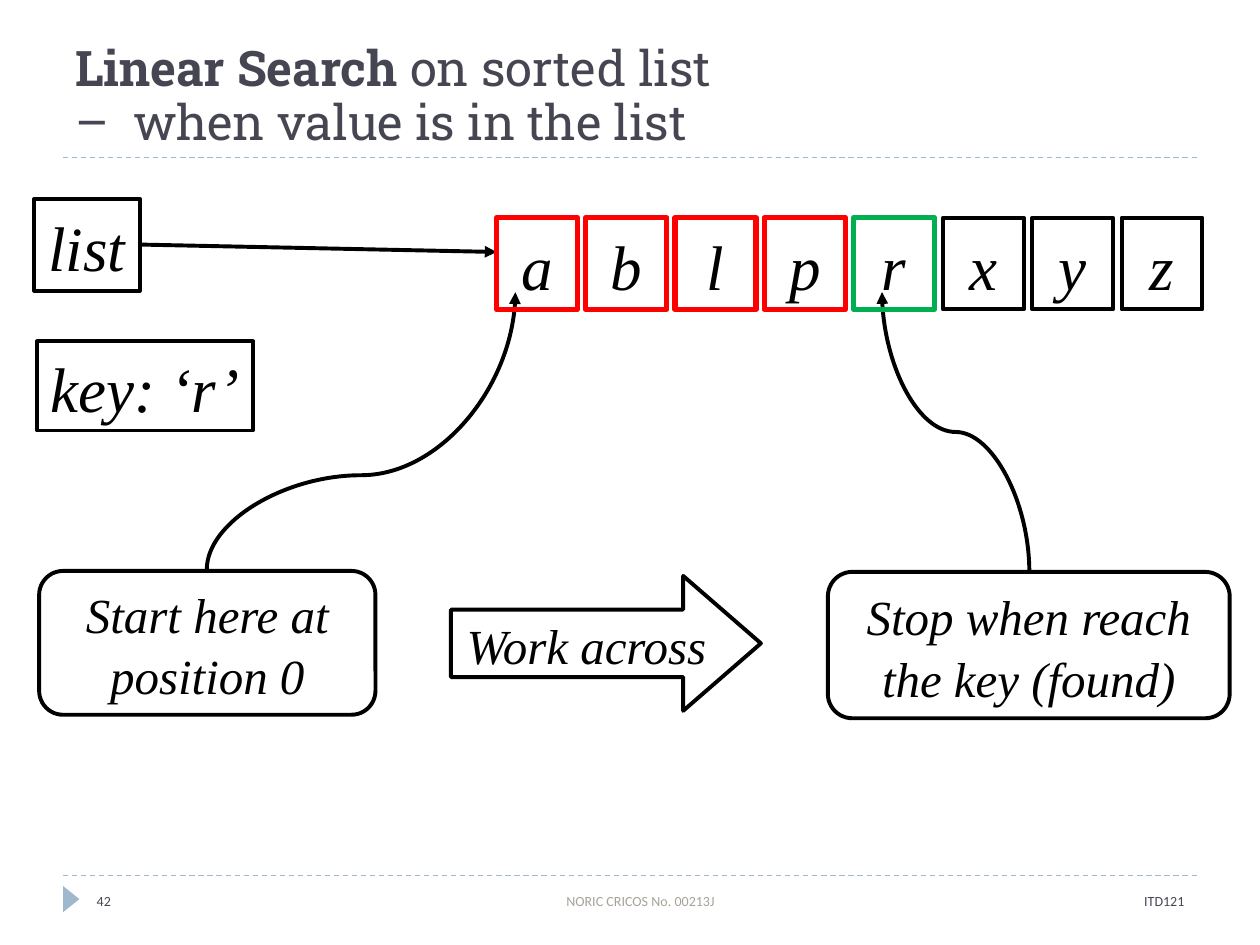
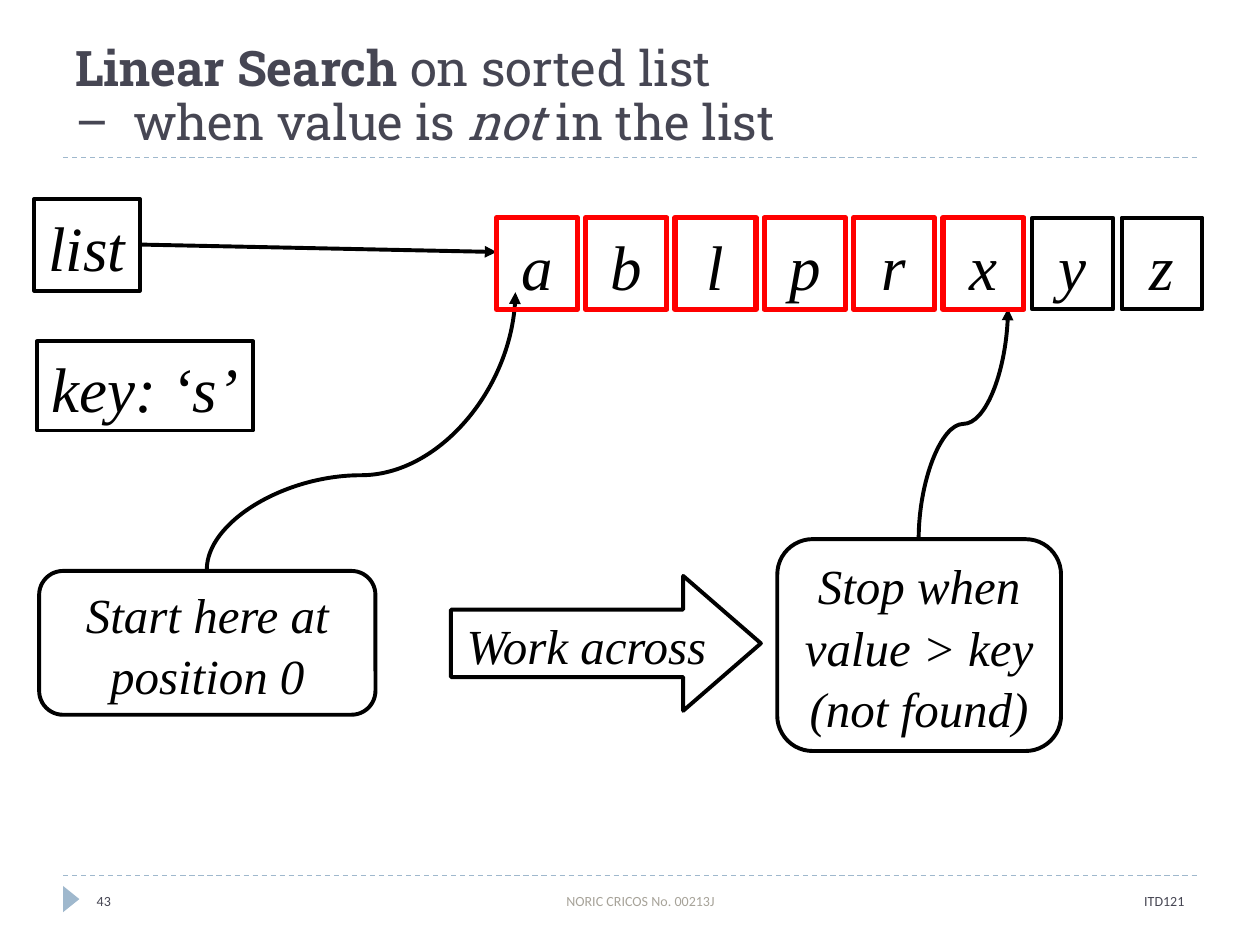
from lxml import etree
from pptx import Presentation
from pptx.dml.color import RGBColor
from pptx.enum.dml import MSO_LINE
from pptx.enum.shapes import MSO_CONNECTOR, MSO_SHAPE
from pptx.enum.text import MSO_ANCHOR, PP_ALIGN
from pptx.oxml.ns import qn
from pptx.util import Cm, Pt

STRAIGHT, CURVE = MSO_CONNECTOR.STRAIGHT, MSO_CONNECTOR.CURVE
RECTANGLE, TRIANGLE = MSO_SHAPE.RECTANGLE, MSO_SHAPE.ISOSCELES_TRIANGLE
RIGHT_ARROW, CALLOUT = MSO_SHAPE.RIGHT_ARROW, MSO_SHAPE.FLOWCHART_ALTERNATE_PROCESS
MIDDLE, BOTTOM = MSO_ANCHOR.MIDDLE, MSO_ANCHOR.BOTTOM
LEFT, CENTER, RIGHT = PP_ALIGN.LEFT, PP_ALIGN.CENTER, PP_ALIGN.RIGHT
DASH = MSO_LINE.DASH

COLORS = {
    "ink": "000000",
    "title": "464653",
    "accent": "9FB8CD",
    "muted": "A7A399",
    "checked": "FF0000",
    "found": "00B050",
}
TITLE_FONT, FOOTER_FONT, DIAGRAM_FONT = "Roboto Slab", "Calibri", "Times New Roman"

LETTERS = "ablprxyz"
CELL_LEFT, CELL_TOP, CELL_PITCH = 10.01, 4.39, 1.8
CELL_WIDTH, CELL_HEIGHT = 1.63, 1.85


def color(name):
    return RGBColor.from_string(COLORS[name])


def write_text(frame, paragraphs, *, font=DIAGRAM_FONT, size=28, ink="ink",
               align=CENTER, anchor=MIDDLE, italic=False, spacing=1.0, wrap=True):
    """Fill a frame; a paragraph is a string or a list of (text, style) with style "", "b" or "i"."""
    frame.word_wrap = wrap
    frame.vertical_anchor = anchor
    for index, content in enumerate(paragraphs):
        para = frame.paragraphs[0] if index == 0 else frame.add_paragraph()
        para.alignment = align
        para.line_spacing = spacing
        spans = [(content, "")] if isinstance(content, str) else content
        for text, style in spans:
            span = para.add_run()
            span.text = text
            span.font.name = font
            span.font.size = Pt(size)
            span.font.bold = style == "b"
            span.font.italic = italic or style == "i"
            span.font.color.rgb = color(ink)


class SearchDeck:
    def __init__(self):
        self.deck = Presentation()
        self.deck.slide_width, self.deck.slide_height = Cm(25.4), Cm(19.05)
        self.page = None

    def add_page(self, title, number):
        self.page = self.deck.slides.add_slide(self.deck.slide_layouts[6])
        for height in (17.65, 3.18):
            self.line((1.27, height), (24.13, height), ink="accent", width=0.75, dash=DASH)
        marker = self.shape(TRIANGLE, 1.17, 17.96, 0.53, 0.33, outline=None, fill="accent")
        marker.rotation = 90
        self.text(1.27, 0.43, 22.86, 2.74, title, font=TITLE_FONT, ink="title",
                  align=LEFT, anchor=BOTTOM, spacing=0.91)
        for left, width, text, align, ink in (
            (1.7, 5.51, str(number), LEFT, "title"),
            (8.05, 9.73, "NORIC CRICOS No. 00213J", CENTER, "muted"),
            (17.78, 6.35, "ITD121", RIGHT, "title"),
        ):
            self.text(left, 17.65, width, 1.02, [text], font=FOOTER_FONT, size=8,
                      ink=ink, align=align)

    def text(self, left, top, width, height, paragraphs, **style):
        box = self.page.shapes.add_textbox(Cm(left), Cm(top), Cm(width), Cm(height))
        write_text(box.text_frame, paragraphs, **style)

    def shape(self, kind, left, top, width, height, *, outline="ink", weight=2.25, fill=None):
        shape = self.page.shapes.add_shape(kind, Cm(left), Cm(top), Cm(width), Cm(height))
        shape.shadow.inherit = False
        if fill:
            shape.fill.solid()
            shape.fill.fore_color.rgb = color(fill)
        else:
            shape.fill.background()
        if outline:
            shape.line.color.rgb = color(outline)
            shape.line.width = Pt(weight)
        else:
            shape.line.fill.background()
        return shape

    def label(self, kind, left, top, width, height, *paragraphs, size=28, wrap=True):
        box = self.shape(kind, left, top, width, height)
        write_text(box.text_frame, paragraphs, size=size, italic=True, wrap=wrap, spacing=1.05)
        return box

    def line(self, start, end, *, kind=STRAIGHT, ink="ink", width=2.25, dash=None, arrow=False):
        line = self.page.shapes.add_connector(kind, *map(Cm, start + end))
        line.line.color.rgb = color(ink)
        line.line.width = Pt(width)
        if dash:
            line.line.dash_style = dash
        if arrow:
            etree.SubElement(line.line._get_or_add_ln(), qn("a:tailEnd"), type="triangle")
        etree.SubElement(line._element.spPr, qn("a:effectLst"))
        return line

    def rising_curve(self, start, end, bend=0.5):
        """Draw an arrow that leaves and arrives vertically: a flat curve turned by 270 degrees."""
        run, rise = end[0] - start[0], start[1] - end[1]
        middle_x, middle_y = (start[0] + end[0]) / 2, (start[1] + end[1]) / 2
        curve = self.line((middle_x - rise / 2, middle_y - run / 2),
                          (middle_x + rise / 2, middle_y + run / 2), kind=CURVE, arrow=True)
        properties = curve._element.spPr
        properties.find(qn("a:xfrm")).set("rot", str(270 * 60000))
        guides = properties.find(qn("a:prstGeom")).find(qn("a:avLst"))
        etree.SubElement(guides, qn("a:gd"), name="adj1", fmla=f"val {round(bend * 100000)}")

    def letter_cells(self):
        for index, letter in enumerate(LETTERS):
            self.label(RECTANGLE, CELL_LEFT + index * CELL_PITCH, CELL_TOP,
                       CELL_WIDTH, CELL_HEIGHT, letter, size=36)

    def search_diagram(self, key):
        self.letter_cells()
        self.label(RECTANGLE, 0.69, 4.01, 2.13, 1.85, "list", size=36, wrap=False)
        self.line((2.82, 4.93), (10.01, 5.08), arrow=True)
        self.label(RECTANGLE, 0.75, 6.88, 4.35, 1.8, f"key: ‘{key}’", size=36, wrap=False)
        self.label(CALLOUT, 0.79, 11.51, 6.78, 2.9, "Start here at position 0")
        self.rising_curve((4.17, 11.48), (10.39, 5.89), bend=0.34)
        arrow = self.label(RIGHT_ARROW, 9.09, 11.61, 6.25, 2.72, "Work across", wrap=False)
        arrow.adjustments[1] = 0.576

    def mark_cells(self, outcomes):
        for index, outcome in enumerate(outcomes):
            self.shape(RECTANGLE, CELL_LEFT + index * CELL_PITCH, CELL_TOP,
                       CELL_WIDTH, CELL_HEIGHT, outline=outcome, weight=3)


def main():
    search = SearchDeck()
    heading = [("Linear Search", "b"), (" on sorted list", "")]

    search.add_page([heading, "–  when value is in the list"], 42)
    search.search_diagram("r")
    search.label(CALLOUT, 16.69, 11.53, 8.1, 2.95, "Stop when reach the key (found)")
    search.rising_curve((20.75, 11.53), (17.78, 5.89))
    search.mark_cells(["checked"] * 4 + ["found"])

    search.add_page([heading, [("–  when value is ", ""), ("not ", "i"), ("in the list", "")]], 43)
    search.search_diagram("s")
    search.label(CALLOUT, 15.67, 10.87, 5.72, 4.27, "Stop when value > key", "(not found)")
    search.rising_curve((18.52, 10.87), (20.32, 6.22))
    search.mark_cells(["checked"] * 6)

    search.deck.save("out.pptx")


if __name__ == "__main__":
    main()
